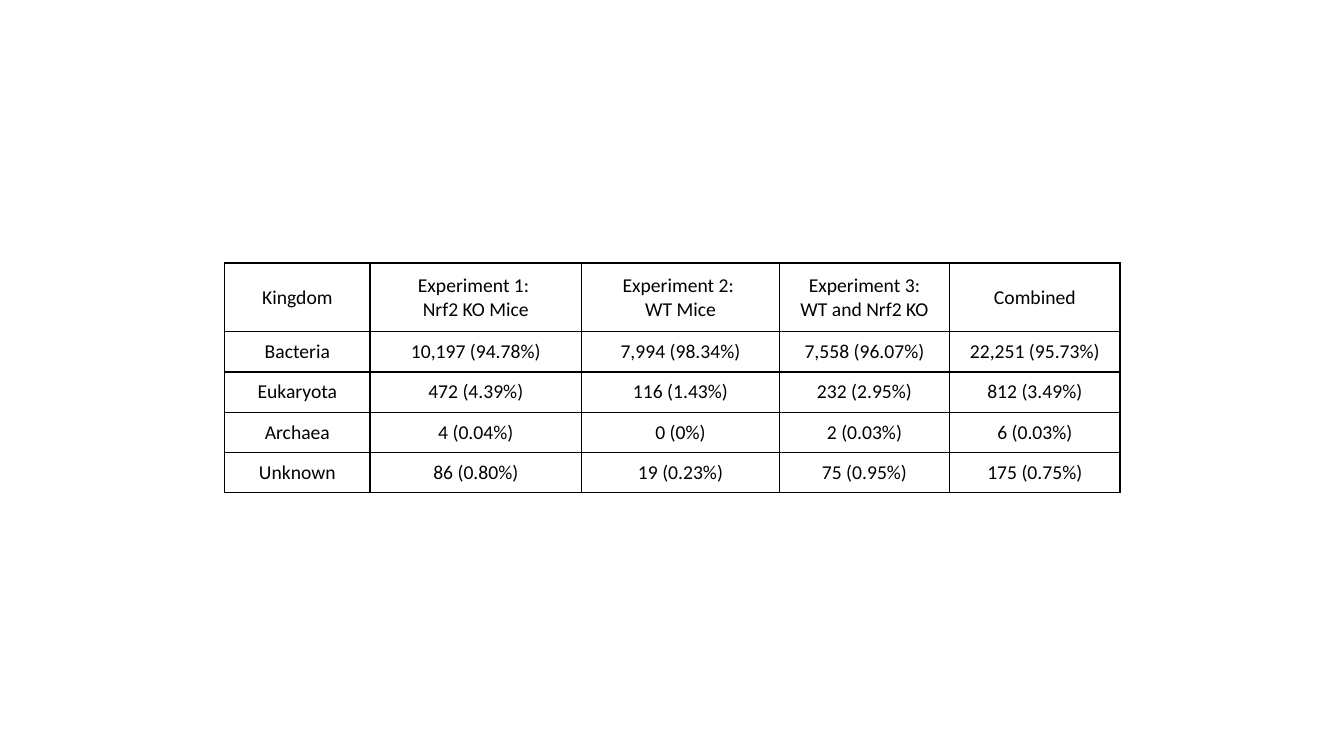
from pptx import Presentation
from pptx.dml.color import RGBColor
from pptx.enum.text import MSO_ANCHOR, PP_ALIGN
from pptx.oxml.ns import qn
from pptx.util import Inches, Pt
from lxml.etree import SubElement

# Content
ROWS = [
    ("Kingdom", "Experiment 1: \nNrf2 KO Mice", "Experiment 2: \nWT Mice",
     "Experiment 3:\nWT and Nrf2 KO", "Combined"),
    ("Bacteria", "10,197 (94.78%)", "7,994 (98.34%)", "7,558 (96.07%)", "22,251 (95.73%)"),
    ("Eukaryota", "472 (4.39%)", "116 (1.43%)", "232 (2.95%)", "812 (3.49%)"),
    ("Archaea", "4 (0.04%)", "0 (0%)", "2 (0.03%)", "6 (0.03%)"),
    ("Unknown", "86 (0.80%)", "19 (0.23%)", "75 (0.95%)", "175 (0.75%)"),
]

# Layout in inches
LEFT, TOP = 2.23, 2.61
COLUMN_WIDTHS = [1.44, 2.1, 1.96, 1.69, 1.69]
ROW_HEIGHTS = [0.68] + [0.4] * (len(ROWS) - 1)
HEADER_MARGINS, BODY_MARGINS = (0.19, 0.1), (0.1, 0.08)
BLACK = "000000"


def color(hex_code):
    return RGBColor.from_string(hex_code)


def add_borders(cell):
    properties = cell._tc.get_or_add_tcPr()
    for side in ("a:lnL", "a:lnR", "a:lnT", "a:lnB"):
        line = SubElement(properties, qn(side), w=str(Pt(1)))
        fill = SubElement(line, qn("a:solidFill"))
        SubElement(fill, qn("a:srgbClr"), val=BLACK)


def format_cell(cell, text, margins):
    cell.text_frame.text = text
    cell.vertical_anchor = MSO_ANCHOR.MIDDLE
    cell.margin_left = cell.margin_right = Inches(margins[0])
    cell.margin_top = cell.margin_bottom = Inches(margins[1])
    for paragraph in cell.text_frame.paragraphs:
        paragraph.alignment = PP_ALIGN.CENTER
        for run in paragraph.runs:
            run.font.name = "Calibri"
            run.font.size = Pt(14)
            run.font.bold = False
            run.font.color.rgb = color(BLACK)
    add_borders(cell)
    cell.fill.background()


def main():
    presentation = Presentation()
    presentation.slide_width, presentation.slide_height = Inches(13.33), Inches(7.5)
    slide = presentation.slides.add_slide(presentation.slide_layouts[6])

    # Kingdom table
    table = slide.shapes.add_table(
        len(ROWS), len(COLUMN_WIDTHS), Inches(LEFT), Inches(TOP),
        Inches(sum(COLUMN_WIDTHS)), Inches(sum(ROW_HEIGHTS))).table
    table.first_row = table.horz_banding = False
    for column, width in zip(table.columns, COLUMN_WIDTHS):
        column.width = Inches(width)
    for row_index, (row, height, texts) in enumerate(zip(table.rows, ROW_HEIGHTS, ROWS)):
        row.height = Inches(height)
        margins = BODY_MARGINS if row_index else HEADER_MARGINS
        for cell, text in zip(row.cells, texts):
            format_cell(cell, text, margins)

    presentation.save("out.pptx")


if __name__ == "__main__":
    main()
